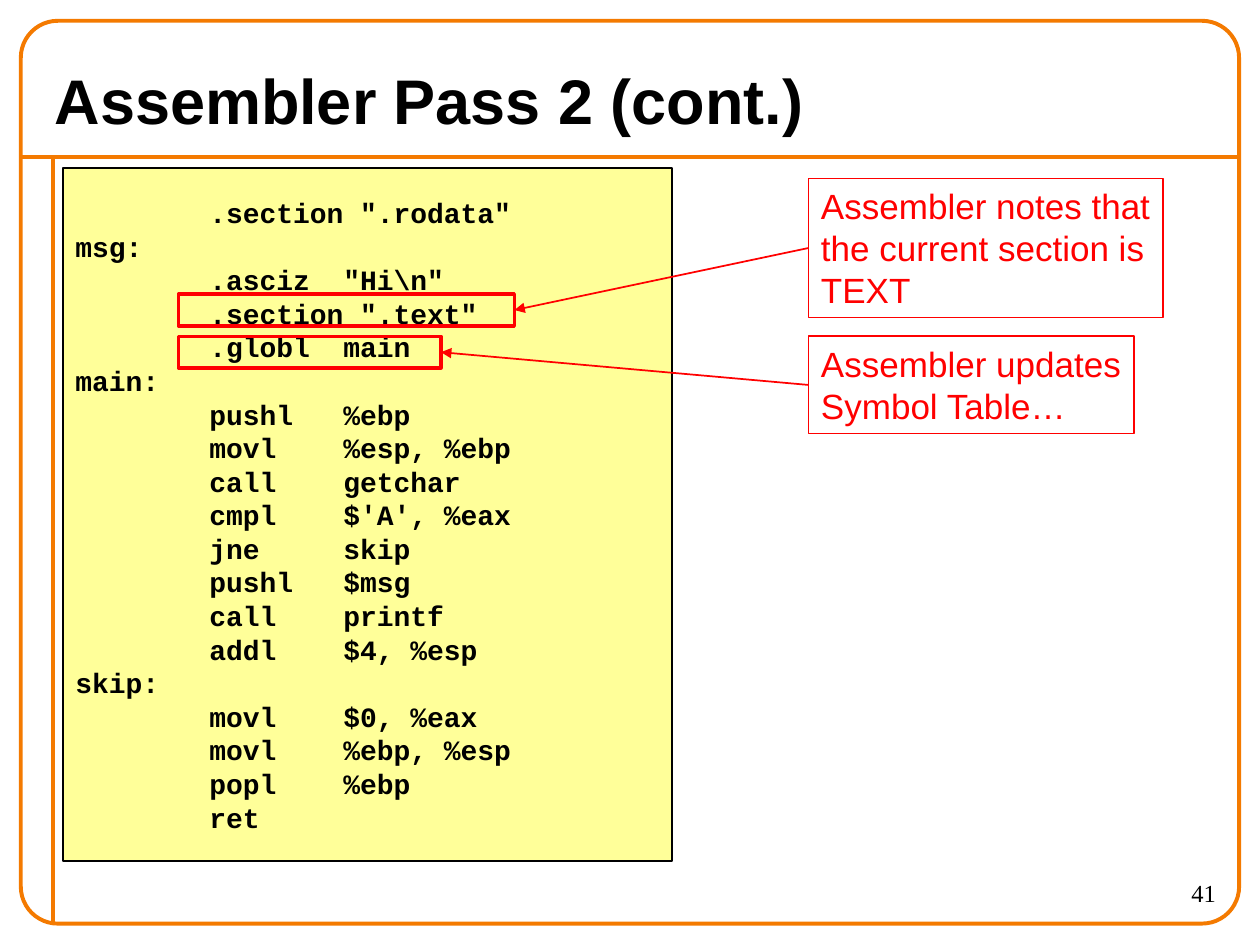
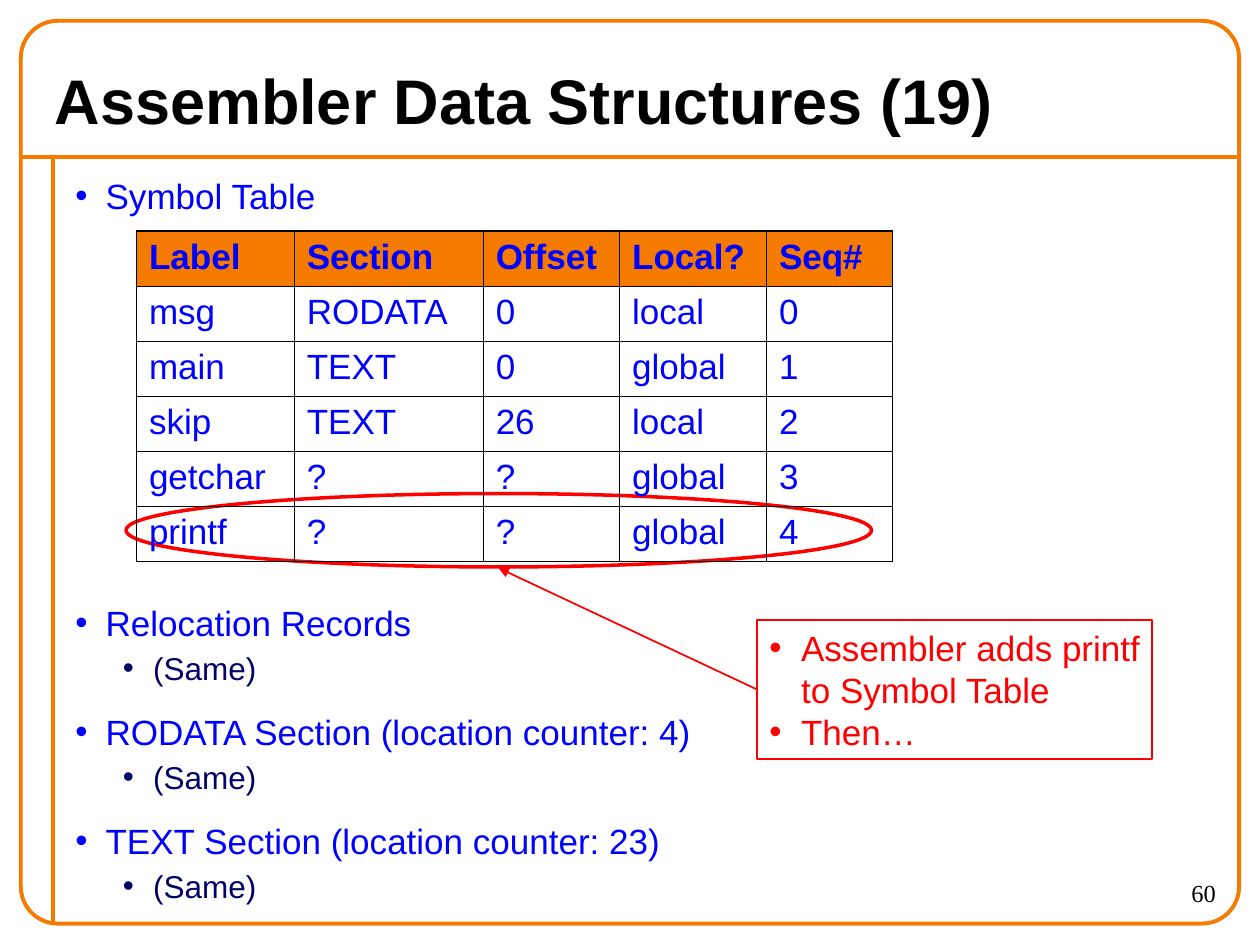
from lxml import etree
from pptx import Presentation
from pptx.dml.color import RGBColor
from pptx.enum.shapes import MSO_CONNECTOR, MSO_SHAPE
from pptx.enum.text import MSO_ANCHOR, PP_ALIGN
from pptx.oxml.ns import qn
from pptx.util import Cm, Pt

RECT, ROUND, OVAL = MSO_SHAPE.RECTANGLE, MSO_SHAPE.ROUNDED_RECTANGLE, MSO_SHAPE.OVAL
STRAIGHT = MSO_CONNECTOR.STRAIGHT
TOP, MIDDLE = MSO_ANCHOR.TOP, MSO_ANCHOR.MIDDLE
LEFT, RIGHT = PP_ALIGN.LEFT, PP_ALIGN.RIGHT
SIDE_LEFT, SIDE_RIGHT = 1, 3

COLORS = {
    "orange": "F47A00",
    "black": "000000",
    "red": "FF0000",
    "blue": "0000FF",
    "navy": "000066",
    "code": "FFFF99",
}
SANS, MONO, SERIF = "Arial", "Courier New", "Times New Roman"

FRAME = (0.42, 0.42, 24.56, 18.2)
CONTENT = (1.27, 3.39, 23.28, 15.24)

CODE = """\
        .section ".rodata"
msg:
        .asciz  "Hi\\n"
        .section ".text"
        .globl  main
main:
        pushl   %ebp
        movl    %esp, %ebp
        call    getchar
        cmpl    $'A', %eax
        jne     skip
        pushl   $msg
        call    printf
        addl    $4, %esp
skip:
        movl    $0, %eax
        movl    %ebp, %esp
        popl    %ebp
        ret"""

SYMBOLS = [
    ("Label", "Section", "Offset", "Local?", "Seq#"),
    ("msg", "RODATA", "0", "local", "0"),
    ("main", "TEXT", "0", "global", "1"),
    ("skip", "TEXT", "26", "local", "2"),
    ("getchar", "?", "?", "global", "3"),
    ("printf", "?", "?", "global", "4"),
]

OUTLINE = [
    (0, "Symbol Table", 0),
    (0, "Relocation Records", 220),
    (1, "(Same)", 3.2),
    (0, "RODATA Section (location counter: 4)", 13.4),
    (1, "(Same)", 3.2),
    (0, "TEXT Section (location counter: 23)", 13.4),
    (1, "(Same)", 3.2),
]
LEVELS = [(0.61, 20, "blue"), (1.57, 18, "navy")]


def rgb(name):
    return RGBColor.from_string(COLORS[name])


def add_run(p, text, size, color="black", font=SANS, bold=False):
    r = p.add_run()
    r.text = text
    r.font.size = Pt(size)
    r.font.name = font
    r.font.bold = bold
    r.font.color.rgb = rgb(color)


def add_lines(p, text, size, **style):
    for i, line in enumerate(text.split("\n")):
        if i:
            p.add_line_break()
        add_run(p, line, size, **style)


def next_paragraph(tf, i):
    p = tf.add_paragraph() if i else tf.paragraphs[0]
    p.alignment = LEFT
    return p


def add_bullet(p, color, margin, hang):
    pPr = p._p.get_or_add_pPr()
    pPr.set("marL", str(Cm(margin)))
    pPr.set("indent", str(-Cm(hang)))
    clr = etree.SubElement(pPr, qn("a:buClr"))
    etree.SubElement(clr, qn("a:srgbClr"), val=COLORS[color])
    etree.SubElement(pPr, qn("a:buFont"), typeface=SANS)
    etree.SubElement(pPr, qn("a:buChar"), char="•")


def add_box(s, kind, box, line, width, fill=None):
    sp = s.shapes.add_shape(kind, *map(Cm, box))
    sp.shadow.inherit = False
    if fill:
        sp.fill.solid()
        sp.fill.fore_color.rgb = rgb(fill)
    else:
        sp.fill.background()
    sp.line.color.rgb = rgb(line)
    sp.line.width = Pt(width)
    return sp


def add_text(s, box, anchor=TOP):
    tf = s.shapes.add_textbox(*map(Cm, box)).text_frame
    tf.word_wrap = True
    tf.vertical_anchor = anchor
    return tf


def add_line(s, start, end, color, width):
    c = s.shapes.add_connector(STRAIGHT, *map(Cm, start + end))
    c.line.color.rgb = rgb(color)
    c.line.width = Pt(width)
    etree.SubElement(c._element.spPr, qn("a:effectLst"))
    return c


def add_arrow(s, callout, target=None, tip=(0, 0)):
    c = add_line(s, (0, 0), tip, "red", 1)
    c.begin_connect(callout, SIDE_LEFT)
    if target is not None:
        c.end_connect(target, SIDE_RIGHT)
    etree.SubElement(c.line._get_or_add_ln(), qn("a:tailEnd"), type="triangle")


def add_callout(s, box, paragraphs, bulleted=False):
    sp = add_box(s, RECT, box, "red", 1)
    tf = sp.text_frame
    tf.word_wrap = False
    tf.vertical_anchor = TOP
    for i, text in enumerate(paragraphs):
        p = next_paragraph(tf, i)
        if bulleted:
            add_bullet(p, "red", 0.64, 0.64)
        add_lines(p, text, 20, color="red")
    return sp


def add_base(prs, title, number):
    s = prs.slides.add_slide(prs.slide_layouts[6])
    x, y, w, h = FRAME
    rule_y, rule_x = y + 2.75, x + 0.64
    add_line(s, (x, rule_y), (x + w, rule_y), "orange", 2.25)
    add_line(s, (rule_x, rule_y), (rule_x, y + h), "orange", 2.25)
    add_box(s, ROUND, FRAME, "orange", 2.25).adjustments[0] = 0.041

    p = add_text(s, (x + w - 2.76, y + h - 1.05, 2.54, 1.06)).paragraphs[0]
    p.alignment = RIGHT
    add_run(p, str(number), 14, font=SERIF)
    tf = add_text(s, (x + 0.43, y + 0.64, w - 0.85, 1.9), MIDDLE)
    add_run(tf.paragraphs[0], title, 36, bold=True)
    return s


def add_code(s, box):
    tf = add_box(s, RECT, box, "black", 1, "code").text_frame
    tf.word_wrap = True
    tf.vertical_anchor = MIDDLE
    for i, line in enumerate(CODE.split("\n")):
        add_run(next_paragraph(tf, i), line, 16, font=MONO, bold=True)


def add_outline(s, box):
    tf = add_text(s, box)
    for i, (level, text, gap) in enumerate(OUTLINE):
        margin, size, color = LEVELS[level]
        p = next_paragraph(tf, i)
        p.level = level
        add_bullet(p, color, margin, 0.61)
        p.space_before = Pt(gap)
        add_run(p, text, size, color)


def set_borders(cell, widths):
    tcPr = cell._tc.get_or_add_tcPr()
    for i, (side, width) in enumerate(widths.items()):
        ln = etree.Element(qn(f"a:ln{side}"), w=str(Pt(width)))
        fill = etree.SubElement(ln, qn("a:solidFill"))
        etree.SubElement(fill, qn("a:srgbClr"), val=COLORS["black"])
        tcPr.insert(i, ln)


def add_symbol_table(s, x, y):
    widths, row_h = (3.18, 3.81, 2.75, 2.96, 2.54), 1.11
    n_rows, n_cols = len(SYMBOLS), len(widths)
    box = (x, y, sum(widths), row_h * n_rows)
    table = s.shapes.add_table(n_rows, n_cols, *map(Cm, box)).table
    table.first_row = table.horz_banding = False
    for col, width in zip(table.columns, widths):
        col.width = Cm(width)
    for i, values in enumerate(SYMBOLS):
        table.rows[i].height = Cm(row_h)
        for j, value in enumerate(values):
            cell = table.cell(i, j)
            if i == 0:
                cell.fill.solid()
                cell.fill.fore_color.rgb = rgb("orange")
            else:
                cell.fill.background()
            edges = {"L": j == 0, "R": j == n_cols - 1, "T": i == 0, "B": i == n_rows - 1}
            set_borders(cell, {k: 1.08 if outer else 0.45 for k, outer in edges.items()})
            add_run(cell.text_frame.paragraphs[0], value, 20, "blue", bold=i == 0)


def build_pass_slide(prs):
    s = add_base(prs, "Assembler Pass 2 (cont.)", 41)
    x, y = CONTENT[:2]
    add_code(s, (x, y, 12.28, 13.97))
    globl = add_box(s, RECT, (x + 2.33, y + 3.39, 5.29, 0.64), "red", 2)
    symbol_note = add_callout(s, (x + 15.03, y + 3.39, 6.56, 1.96),
                              ["Assembler updates", "Symbol Table…"])
    section = add_box(s, RECT, (x + 2.33, y + 2.54, 6.77, 0.64), "red", 2)
    section_note = add_callout(s, (x + 15.03, y + 0.21, 7.15, 2.8),
                               ["Assembler notes that\nthe current section is\nTEXT"])
    add_arrow(s, section_note, section)
    add_arrow(s, symbol_note, globl)


def build_data_slide(prs):
    s = add_base(prs, "Assembler Data Structures (19)", 60)
    x, y = CONTENT[:2]
    add_outline(s, CONTENT)
    note = add_callout(s, (x + 13.99, y + 9.11, 7.97, 2.8),
                       ["Assembler adds printf\nto Symbol Table", "Then…"], bulleted=True)
    add_arrow(s, note, tip=(x + 8.78, y + 8.06))
    add_box(s, OVAL, (x + 1.27, y + 6.56, 15.03, 1.48), "red", 2)
    add_symbol_table(s, x + 1.48, y + 1.27)


def main():
    prs = Presentation()
    prs.slide_width, prs.slide_height = Cm(25.4), Cm(19.05)
    build_pass_slide(prs)
    build_data_slide(prs)
    prs.save("out.pptx")


if __name__ == "__main__":
    main()
